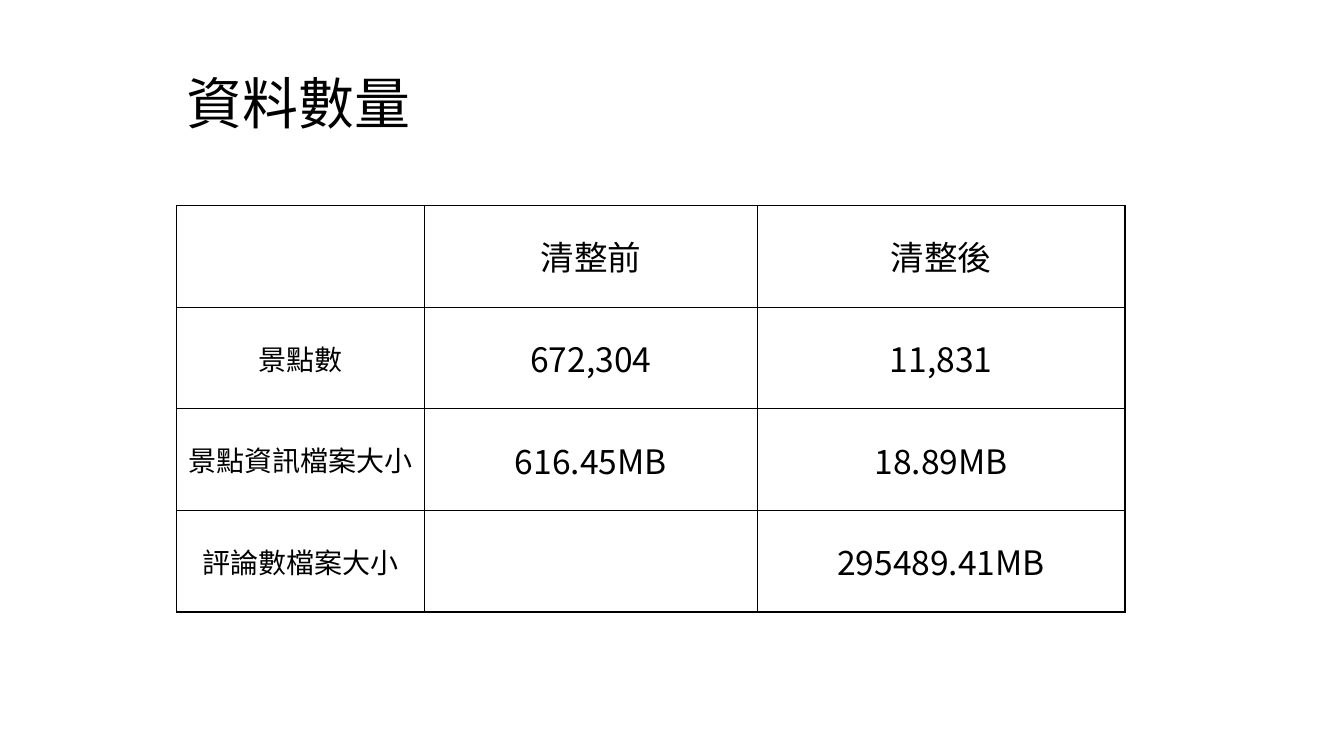
from lxml.etree import SubElement
from pptx import Presentation
from pptx.dml.color import RGBColor
from pptx.enum.text import MSO_ANCHOR, PP_ALIGN
from pptx.oxml import parse_xml
from pptx.oxml.ns import nsdecls, qn
from pptx.util import Cm, Pt

BLACK = RGBColor(0x00, 0x00, 0x00)
CJK_FONT = "Noto Sans CJK SC"
TITLE_FONT = "Karla"
COLUMN_WIDTHS = [6.25, 8.38, 9.27]
ROW_HEIGHT = 2.56
ROWS = [
    ["", "清整前", "清整後"],
    ["景點數", "672,304", "11,831"],
    ["景點資訊檔案大小", "616.45MB", "18.89MB"],
    ["評論數檔案大小", "", "295489.41MB"],
]


def write_text(text_frame, text, size, font=CJK_FONT, align=PP_ALIGN.LEFT, line_spacing=1.0):
    paragraph = text_frame.paragraphs[0]
    paragraph.alignment = align
    paragraph.line_spacing = line_spacing
    run = paragraph.add_run()
    run.text = text
    run.font.size = Pt(size)
    run.font.bold = False
    run.font.color.rgb = BLACK
    run.font.name = font
    SubElement(run.font._element, qn("a:ea"), typeface=CJK_FONT)


def add_borders(cell, color=BLACK, width=1):
    properties = cell._tc.get_or_add_tcPr()
    for side in ("lnL", "lnR", "lnT", "lnB"):
        properties.append(parse_xml(
            f'<a:{side} {nsdecls("a")} w="{Pt(width)}"><a:solidFill>'
            f'<a:srgbClr val="{color}"/></a:solidFill></a:{side}>'
        ))


def add_title(slide, text):
    title = slide.shapes.title
    title.left, title.top = Cm(4.45), Cm(0.84)
    title.width, title.height = Cm(29.2), Cm(3.68)
    title.text_frame.vertical_anchor = MSO_ANCHOR.MIDDLE
    write_text(title.text_frame, text, size=40, font=TITLE_FONT, line_spacing=0.9)


def add_data_table(slide):
    table = slide.shapes.add_table(
        len(ROWS), len(COLUMN_WIDTHS), Cm(4.45), Cm(5.18),
        Cm(sum(COLUMN_WIDTHS)), Cm(ROW_HEIGHT * len(ROWS)),
    ).table
    table.first_row = False
    table.horz_banding = False
    for column, width in zip(table.columns, COLUMN_WIDTHS):
        column.width = Cm(width)
    for row_index, texts in enumerate(ROWS):
        table.rows[row_index].height = Cm(ROW_HEIGHT)
        for column_index, text in enumerate(texts):
            cell = table.cell(row_index, column_index)
            cell.vertical_anchor = MSO_ANCHOR.MIDDLE
            add_borders(cell)
            cell.fill.background()
            if text:
                size = 20 if column_index == 0 else 24
                write_text(cell.text_frame, text, size=size, align=PP_ALIGN.CENTER)


def main():
    presentation = Presentation()
    presentation.slide_width = Cm(33.87)
    presentation.slide_height = Cm(19.05)
    slide = presentation.slides.add_slide(presentation.slide_layouts[5])
    add_title(slide, "資料數量")
    add_data_table(slide)
    presentation.save("out.pptx")


if __name__ == "__main__":
    main()
